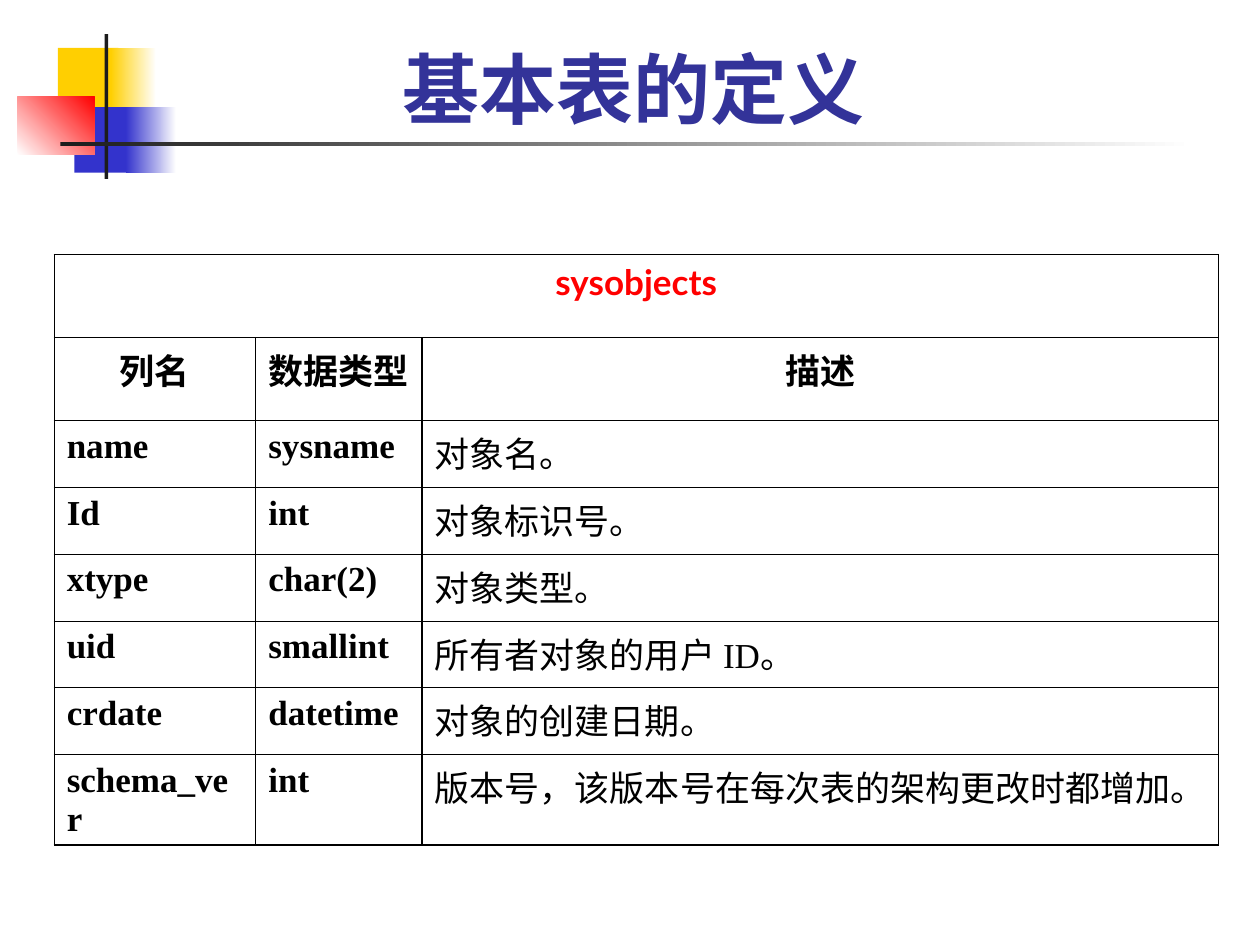
from dataclasses import dataclass

from lxml import etree
from pptx import Presentation
from pptx.dml.color import RGBColor
from pptx.enum.shapes import MSO_SHAPE
from pptx.enum.text import MSO_ANCHOR, MSO_AUTO_SIZE, PP_ALIGN
from pptx.oxml.ns import qn
from pptx.util import Inches, Pt

RECT = MSO_SHAPE.RECTANGLE
BOTTOM = MSO_ANCHOR.BOTTOM
FIXED = MSO_AUTO_SIZE.NONE
LEFT, CENTER = PP_ALIGN.LEFT, PP_ALIGN.CENTER
WIDE, HIGH = 10, 7.5
SANS, SERIF = "Lato", "Times New Roman"
COLS = (1.6, 1.32, 6.32)
HEAD, BODY = 0.66, 0.53
LABELS = ("列名", "数据类型", "描述")
FIELDS = (
    ("name", "sysname", "对象名。"),
    ("Id", "int", "对象标识号。"),
    ("xtype", "char(2)", "对象类型。"),
    ("uid", "smallint", "所有者对象的用户 ID。"),
    ("crdate", "datetime", "对象的创建日期。"),
    ("schema_ver", "int", "版本号，该版本号在每次表的架构更改时都增加。"),
)


@dataclass
class Block:
    """A plain or two-colour rectangle, in inches."""
    left: float
    top: float
    width: float
    height: float
    start: str
    end: str = ""
    angle: int = 0


BLOCKS = (
    Block(0.46, 0.38, 0.48, 0.52, "FFCF01"),
    Block(0.88, 0.38, 0.36, 0.52, "FFCF01", "FFFFFF"),
    Block(0.59, 0.85, 0.46, 0.52, "3333CC"),
    Block(1, 0.85, 0.4, 0.52, "3333CC", "FFFFFF"),
    Block(0.14, 0.77, 0.61, 0.46, "FFFFFF", "FF0000", 45),
    Block(0.83, 0.27, 0.03, 1.15, "1C1C1C"),
    Block(0.48, 1.13, 0.9 * WIDE, 0.03, "1C1C1C", "FFFFFF"),
)


def color(code: str) -> RGBColor:
    return RGBColor.from_string(code)


def write(frame, text: str, *, size=20, font=SERIF, ink="000000",
          bold=True, align=LEFT) -> None:
    para = frame.paragraphs[0]
    para.alignment = align
    run = para.add_run()
    run.text = text
    run.font.size = Pt(size)
    run.font.name = font
    run.font.bold = bold
    run.font.color.rgb = color(ink)


def draw(slide, block: Block) -> None:
    box = (block.left, block.top, block.width, block.height)
    shape = slide.shapes.add_shape(RECT, *map(Inches, box))
    shape.shadow.inherit = False
    shape.line.fill.background()
    fill = shape.fill
    if not block.end:
        fill.solid()
        fill.fore_color.rgb = color(block.start)
        return
    fill.gradient()
    fill.gradient_angle = block.angle
    for stop, code in zip(fill.gradient_stops, (block.start, block.end)):
        stop.color.rgb = color(code)


def frame_cell(cell, ink: str = "000000", width: float = 0.75) -> None:
    """Clear the cell's fill and rule all four sides."""
    props = cell._tc.get_or_add_tcPr()
    for side in ("lnL", "lnR", "lnT", "lnB"):
        line = etree.SubElement(props, qn(f"a:{side}"), w=str(Pt(width)))
        solid = etree.SubElement(line, qn("a:solidFill"))
        etree.SubElement(solid, qn("a:srgbClr"), val=ink)
    cell.fill.background()


def add_grid(slide) -> None:
    rows = [HEAD] * 2 + [BODY] * len(FIELDS)
    box = (0.43, 2.02, sum(COLS), sum(rows))
    grid = slide.shapes.add_table(
        len(rows), len(COLS), *map(Inches, box)).table
    grid.first_row = grid.horz_banding = False
    for col, width in zip(grid.columns, COLS):
        col.width = Inches(width)
    for row, height in zip(grid.rows, rows):
        row.height = Inches(height)
    for cell in grid.iter_cells():
        frame_cell(cell)

    top = grid.cell(0, 0)
    top.merge(grid.cell(0, len(COLS) - 1))
    write(top.text_frame, "sysobjects", font=SANS, ink="FF0000", align=CENTER)
    for c, label in enumerate(LABELS):
        write(grid.cell(1, c).text_frame, label, align=CENTER)
    for r, field in enumerate(FIELDS, 2):
        for c, text in enumerate(field):
            write(grid.cell(r, c).text_frame, text, bold=c < 2)


def main() -> None:
    deck = Presentation()
    deck.slide_width, deck.slide_height = Inches(WIDE), Inches(HIGH)
    slide = deck.slides.add_slide(deck.slide_layouts[5])
    for block in BLOCKS:
        draw(slide, block)

    title = slide.shapes.title
    title.left, title.top = Inches(0.39), Inches(0.18)
    title.width, title.height = Inches(9.28), Inches(0.93)
    frame = title.text_frame
    frame.auto_size = FIXED
    frame.vertical_anchor = BOTTOM
    write(frame, "基本表的定义", size=44, font=SANS, ink="333399", align=CENTER)

    add_grid(slide)
    deck.save("out.pptx")


if __name__ == "__main__":
    main()
